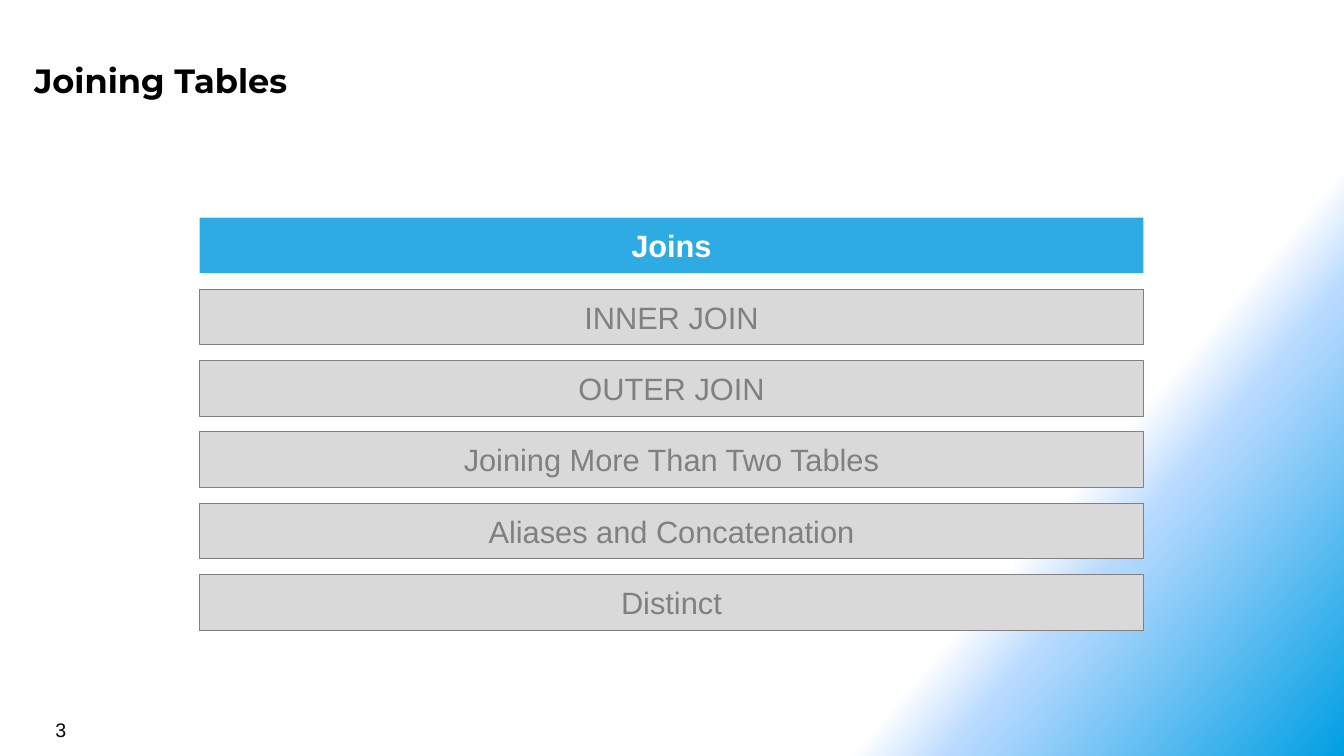
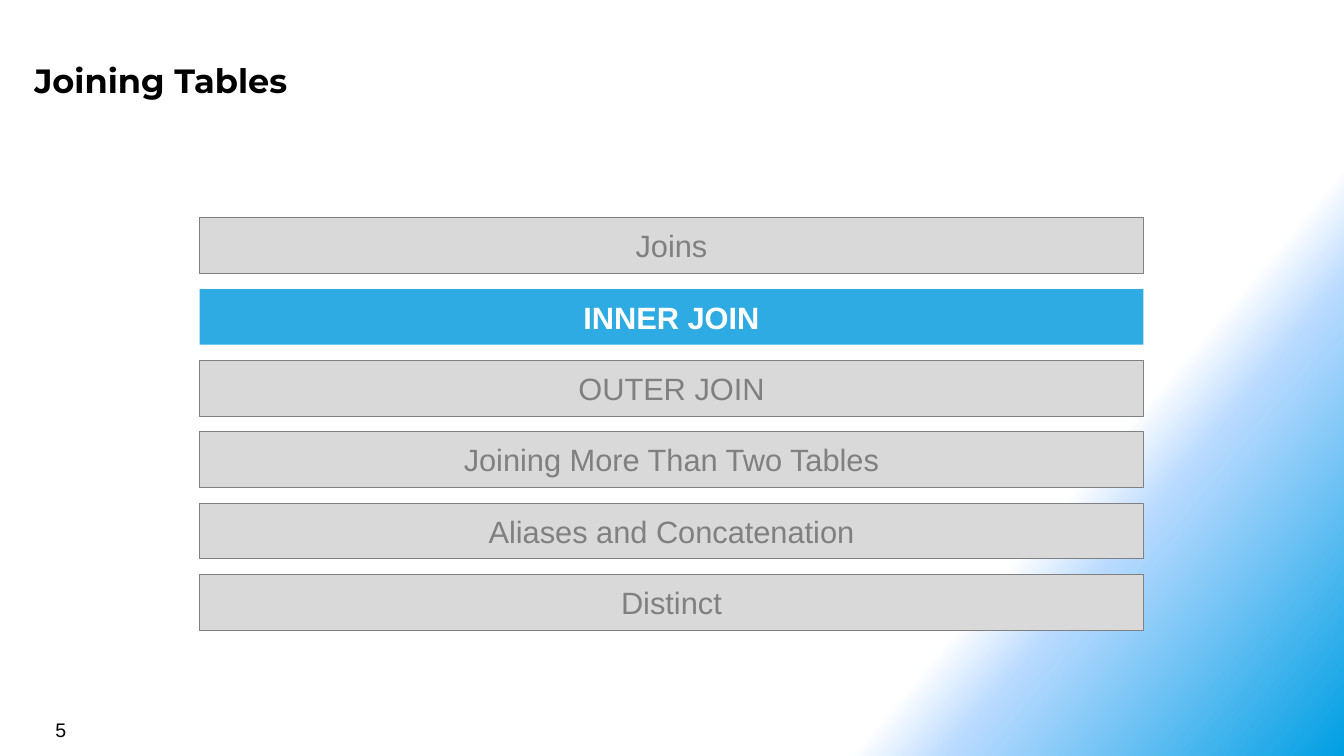
from lxml.etree import SubElement
from pptx import Presentation
from pptx.dml.color import RGBColor as RGB
from pptx.enum.shapes import MSO_SHAPE as SHAPE
from pptx.enum.text import MSO_ANCHOR as ANCHOR, MSO_AUTO_SIZE as AUTOSIZE, PP_ALIGN as ALIGN
from pptx.oxml.ns import qn
from pptx.util import Inches, Pt

COLORS = {
    "text": "000000",
    "active": "2EABE2",
    "active_text": "FFFFFF",
    "bar": "D9D9D9",
    "muted": "808080",
    "bg_start": "FFFFFF",
    "bg_middle": "B9DAFF",
    "bg_end": "009FE3",
}
# Background stops: position in %, colour, opacity in %
BG_STOPS = [(75, "bg_start", 100), (80, "bg_middle", 50), (100, "bg_end", 100)]
BG_ANGLE = 40

TITLE = "Joining Tables"
TOPICS = [
    "Joins",
    "INNER JOIN",
    "OUTER JOIN",
    "Joining More Than Two Tables",
    "Aliases and Concatenation",
    "Distinct",
]
FIRST_TOP, LAST_TOP = 2.16, 5.7
BAR_LEFT, BAR_WIDTH, BAR_HEIGHT = 1.98, 9.36, 0.55


class Deck:
    """Holds the shared style and the current slide."""

    title_font, body_font = "Montserrat", "Arial"

    def __init__(self):
        self.prs = Presentation()
        self.prs.slide_width, self.prs.slide_height = Inches(13.33), Inches(7.5)
        self.s = None

    def slide(self, title, number):
        self.s = self.prs.slides.add_slide(self.prs.slide_layouts[5])
        self.background()
        self.title(title)
        self.page_number(number)

    def background(self):
        fill = self.s.background.fill
        fill.gradient()
        fill.gradient_angle = -BG_ANGLE % 360  # python-pptx counts anticlockwise
        # Replace the default stops; opacity needs XML
        stops = self.s.element.find(".//" + qn("a:gsLst"))
        for gs in list(stops):
            stops.remove(gs)
        for pos, color, opacity in BG_STOPS:
            gs = SubElement(stops, qn("a:gs"), pos=str(pos * 1000))
            clr = SubElement(gs, qn("a:srgbClr"), val=COLORS[color])
            if opacity < 100:
                SubElement(clr, qn("a:alpha"), val=str(opacity * 1000))

    def text(self, tf, text, size, color, font, bold=False, align=ALIGN.LEFT,
             anchor=ANCHOR.TOP, inset=(0.1, 0.05)):
        tf.word_wrap = True
        tf.auto_size = AUTOSIZE.NONE
        tf.vertical_anchor = anchor
        tf.margin_left = tf.margin_right = Inches(inset[0])
        tf.margin_top = tf.margin_bottom = Inches(inset[1])
        p = tf.paragraphs[0]
        p.alignment = align
        r = p.add_run()
        r.text = text
        r.font.size, r.font.name, r.font.bold = Pt(size), font, bold
        r.font.color.rgb = RGB.from_string(COLORS[color])

    def title(self, text):
        sp = self.s.shapes.title
        sp.left, sp.top = Inches(0.26), Inches(0.51)
        sp.width, sp.height = Inches(12.26), Inches(0.55)
        self.text(sp.text_frame, text, 24, "text", self.title_font, bold=True,
                  inset=(0.08, 0.08))

    def page_number(self, number):
        sp = self.s.shapes.add_textbox(Inches(0.45), Inches(7.07), Inches(3.11), Inches(0.33))
        self.text(sp.text_frame, str(number), 14, "text", self.body_font)

    def bar(self, text, top, active):
        sp = self.s.shapes.add_shape(SHAPE.RECTANGLE, Inches(BAR_LEFT), Inches(top),
                                     Inches(BAR_WIDTH), Inches(BAR_HEIGHT))
        sp.shadow.inherit = False
        sp.fill.solid()
        sp.fill.fore_color.rgb = RGB.from_string(COLORS["active" if active else "bar"])
        if active:
            sp.line.fill.background()
        else:
            sp.line.color.rgb = RGB.from_string(COLORS["muted"])
            sp.line.width = Pt(0.5)
        self.text(sp.text_frame, text, 22, "active_text" if active else "muted",
                  self.body_font, bold=active, align=ALIGN.CENTER,
                  anchor=ANCHOR.MIDDLE, inset=(0, 0))

    def agenda(self, topics, current):
        step = (LAST_TOP - FIRST_TOP) / (len(topics) - 1)
        for i, topic in enumerate(topics):
            self.bar(topic, FIRST_TOP + i * step, topic == current)


def main():
    deck = Deck()
    # One agenda slide per current topic, with its page number
    for number, current in [(3, "Joins"), (5, "INNER JOIN")]:
        deck.slide(TITLE, number)
        deck.agenda(TOPICS, current)
    deck.prs.save("out.pptx")


if __name__ == "__main__":
    main()
